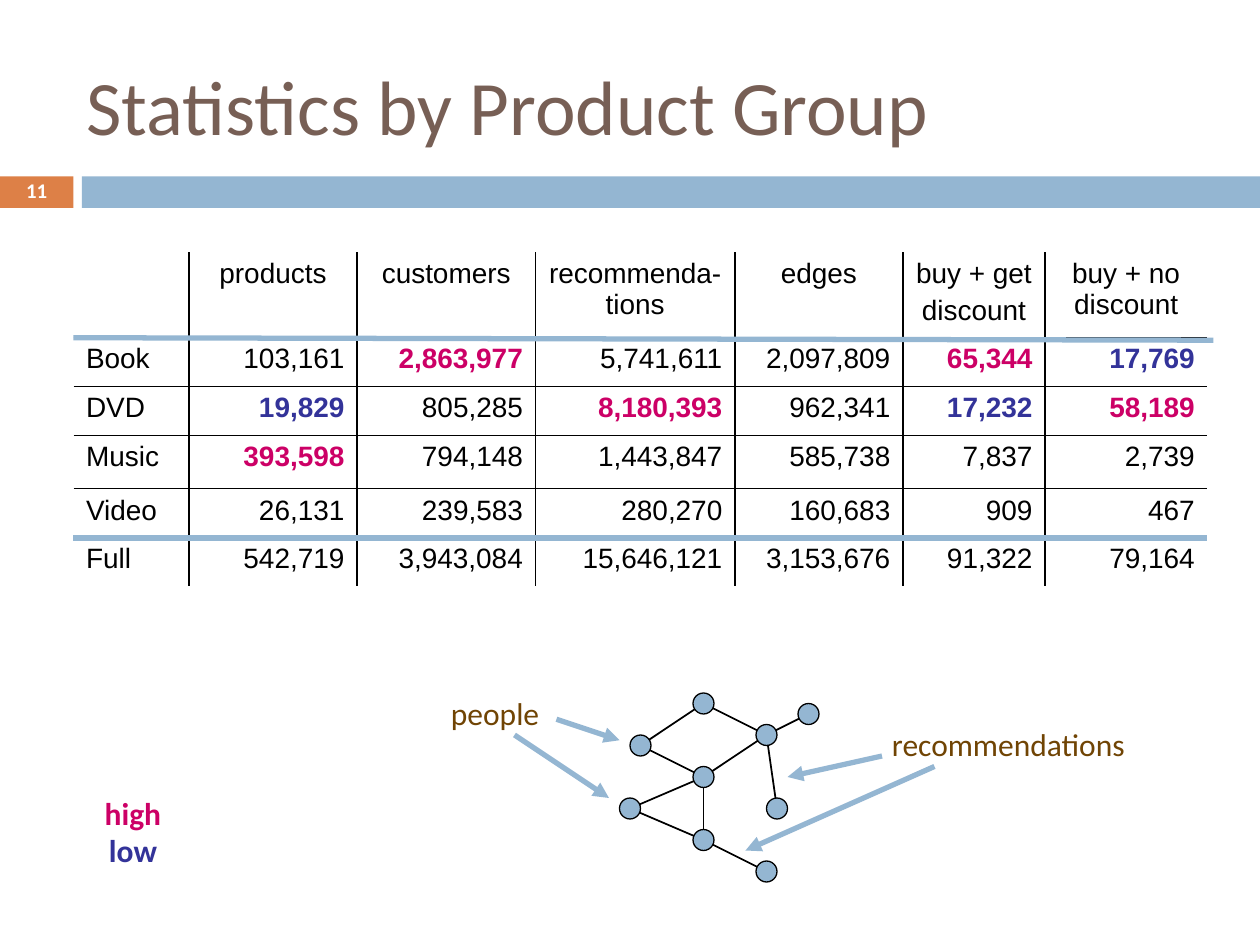
import pptx
import pptx.util
import pptx.dml.color
import pptx.enum.shapes
import pptx.enum.text
import pptx.oxml
import pptx.oxml.ns
from lxml import etree

Pt = pptx.util.Pt
ALIGN = pptx.enum.text.PP_ALIGN
ANCHOR = pptx.enum.text.MSO_ANCHOR
SHAPE = pptx.enum.shapes.MSO_SHAPE
STRAIGHT = pptx.enum.shapes.MSO_CONNECTOR.STRAIGHT
qn = pptx.oxml.ns.qn

COLORS = {"blue": "94B6D2", "orange": "DD8047", "title": "775F55", "label": "704404",
          "high": "CC0066", "low": "333399", "black": "000000", "white": "FFFFFF"}

HEADERS = ["", "products", "customers", "recommenda-tions", "edges",
           "buy + get\ndiscount", "buy + no discount"]
ROWS = [
    ["Book", "103,161", "2,863,977", "5,741,611", "2,097,809", "65,344", "17,769"],
    ["DVD", "19,829", "805,285", "8,180,393", "962,341", "17,232", "58,189"],
    ["Music", "393,598", "794,148", "1,443,847", "585,738", "7,837", "2,739"],
    ["Video", "26,131", "239,583", "280,270", "160,683", "909", "467"],
    ["Full", "542,719", "3,943,084", "15,646,121", "3,153,676", "91,322", "79,164"],
]
EMPHASIS = {"2,863,977": "high", "65,344": "high", "8,180,393": "high", "58,189": "high",
            "393,598": "high", "17,769": "low", "19,829": "low", "17,232": "low"}
COLUMN_WIDTHS = [66, 96, 102, 114, 96, 81.2, 92.8]
ROW_HEIGHTS = [46, 28, 28, 30.4, 28, 28]

# Node centres inside the network box, and the pairs that are linked
NODES = {"a": (12, 30), "b": (6, 66), "c": (48, 48), "d": (48, 84), "e": (84, 24),
         "f": (90, 66), "g": (48, 6), "h": (84, 102), "i": (108, 12)}
EDGES = ["ac", "ce", "ei", "cd", "bc", "bd", "ag", "ge", "dh", "ef"]


def rgb(name):
    return pptx.dml.color.RGBColor.from_string(COLORS[name])


def write(frame, text, size=18, font="Calibri", color="black", bold=False,
          align=ALIGN.LEFT, before=0, spacing=None):
    """Fill a text frame, one paragraph a line; color may be a list, one a line."""
    lines = text.split("\n")
    colors = color if isinstance(color, list) else [color] * len(lines)
    for index, (line, name) in enumerate(zip(lines, colors)):
        para = frame.paragraphs[0] if index == 0 else frame.add_paragraph()
        para.alignment = align
        para.space_before = Pt(before)
        if spacing:
            para.line_spacing = spacing
        span = para.add_run()
        span.text = line
        span.font.name, span.font.size, span.font.bold = font, Pt(size), bold
        span.font.color.rgb = rgb(name)


def add_text(page, box, text, wrap=False, anchor=ANCHOR.TOP, **style):
    frame = page.shapes.add_textbox(*map(Pt, box)).text_frame
    frame.word_wrap = wrap
    frame.vertical_anchor = anchor
    write(frame, text, **style)


def add_shape(shapes, kind, box, fill, line=None):
    shape = shapes.add_shape(kind, *map(Pt, box))
    shape.shadow.inherit = False
    shape.fill.solid()
    shape.fill.fore_color.rgb = rgb(fill)
    if line:
        shape.line.color.rgb = rgb(line)
        shape.line.width = Pt(0.75)
    else:
        shape.line.fill.background()


def add_line(shapes, start, end, color="blue", width=3, arrow=False):
    line = shapes.add_connector(STRAIGHT, *map(Pt, (*start, *end)))
    line.line.color.rgb = rgb(color)
    line.line.width = Pt(width)
    if arrow:
        etree.SubElement(line.line._get_or_add_ln(), qn("a:tailEnd"), type="triangle")
    etree.SubElement(line._element.spPr, qn("a:effectLst"))


def set_borders(cell, visible):
    """Draw the sides named in visible and clear the others."""
    properties = cell._tc.get_or_add_tcPr()
    for index, side in enumerate("LRTB"):
        border = etree.Element(qn("a:ln" + side), w=str(Pt(1)))
        if side in visible:
            fill = etree.SubElement(border, qn("a:solidFill"))
            etree.SubElement(fill, qn("a:srgbClr"), val=COLORS["black"])
        else:
            etree.SubElement(border, qn("a:noFill"))
        properties.insert(index, border)


def add_heading(page, box):
    left, top, width, height = box
    title = page.shapes.title
    title.left, title.top, title.width, title.height = map(Pt, (left, top, width, height))
    frame = title.text_frame
    frame.auto_size = pptx.enum.text.MSO_AUTO_SIZE.NONE
    frame.vertical_anchor = ANCHOR.MIDDLE
    write(frame, "Statistics by Product Group", size=44, color="title")


def add_band(page, box, number):
    left, top, width, height = box
    tab, gap = 42, 4.8
    add_shape(page.shapes, SHAPE.RECTANGLE, (left, top, tab, height), "orange")
    add_shape(page.shapes, SHAPE.RECTANGLE,
              (left + tab + gap, top, width - tab - gap, height), "blue")
    add_text(page, (left, top - 0.7, tab, height + 1.4), number, wrap=True,
             anchor=ANCHOR.MIDDLE, size=11.9, color="white", bold=True,
             align=ALIGN.CENTER, spacing=0.8)


def add_statistics(page, box):
    left, top, width, height = box
    rows = [HEADERS] + ROWS
    last_row, last_column = len(rows) - 1, len(HEADERS) - 1
    table = page.shapes.add_table(len(rows), len(HEADERS), *map(Pt, box)).table
    table.first_row = table.horz_banding = False
    for column, size in zip(table.columns, COLUMN_WIDTHS):
        column.width = Pt(size)
    for row, size in zip(table.rows, ROW_HEIGHTS):
        row.height = Pt(size)
    for r, values in enumerate(rows):
        for c, value in enumerate(values):
            cell = table.cell(r, c)
            cell.fill.background()
            align = ALIGN.CENTER if r == 0 else ALIGN.RIGHT if c else ALIGN.LEFT
            write(cell.text_frame, value, size=16, font="Arial", align=align, before=3.2,
                  color=EMPHASIS.get(value, "black"), bold=value in EMPHASIS)
            inner = {"L": c > 0, "R": c < last_column, "T": r > 0, "B": r < last_row}
            set_borders(cell, [side for side in inner if inner[side]])
    # Heavy rules above the totals and below the header
    add_line(page.shapes, (left, top + 163.4), (left + width, top + 163.4))
    add_line(page.shapes, (left, top + 49), (left + width + 3.4, top + 50.4))


def add_network(page, box):
    left, top, width, height = box
    diameter = 12
    shapes = page.shapes.add_group_shape().shapes
    centres = {name: (left + x, top + y) for name, (x, y) in NODES.items()}
    for start, end in EDGES:
        add_line(shapes, centres[start], centres[end], color="black", width=1)
    for x, y in centres.values():
        add_shape(shapes, SHAPE.OVAL,
                  (x - diameter / 2, y - diameter / 2, diameter, diameter), "blue", "black")


def add_callout(page, box, text, arrows):
    """Place a label and its arrows, given as offsets from the label's corner."""
    left, top, width, height = box
    add_text(page, box, text, color="label")
    for x1, y1, x2, y2 in arrows:
        add_line(page.shapes, (left + x1, top + y1), (left + x2, top + y2), arrow=True)


def main():
    deck = pptx.Presentation()
    deck.slide_width, deck.slide_height = Pt(720), Pt(540)
    page = deck.slides.add_slide(deck.slide_layouts[5])

    # Heading and numbered band
    add_heading(page, (42, 18, 648, 84))
    add_band(page, (0, 100.8, 720, 18), "11")

    # Table and its colour key
    add_statistics(page, (42, 144, 648, 188.4))
    add_text(page, (49.7, 450, 52.6, 54.7), "high\nlow", color=["high", "low"],
             bold=True, align=ALIGN.CENTER)

    # Network with callouts
    add_network(page, (354, 396, 114, 108))
    add_callout(page, (250.6, 393, 68.4, 29), "people",
                [(43.4, 27, 97.4, 63), (67.4, 18, 103.4, 30)])
    add_callout(page, (502.6, 411, 157.7, 29), "recommendations",
                [(1.4, 21, -52.6, 33), (31.4, 27, -76.6, 75)])

    deck.save("out.pptx")


if __name__ == "__main__":
    main()
